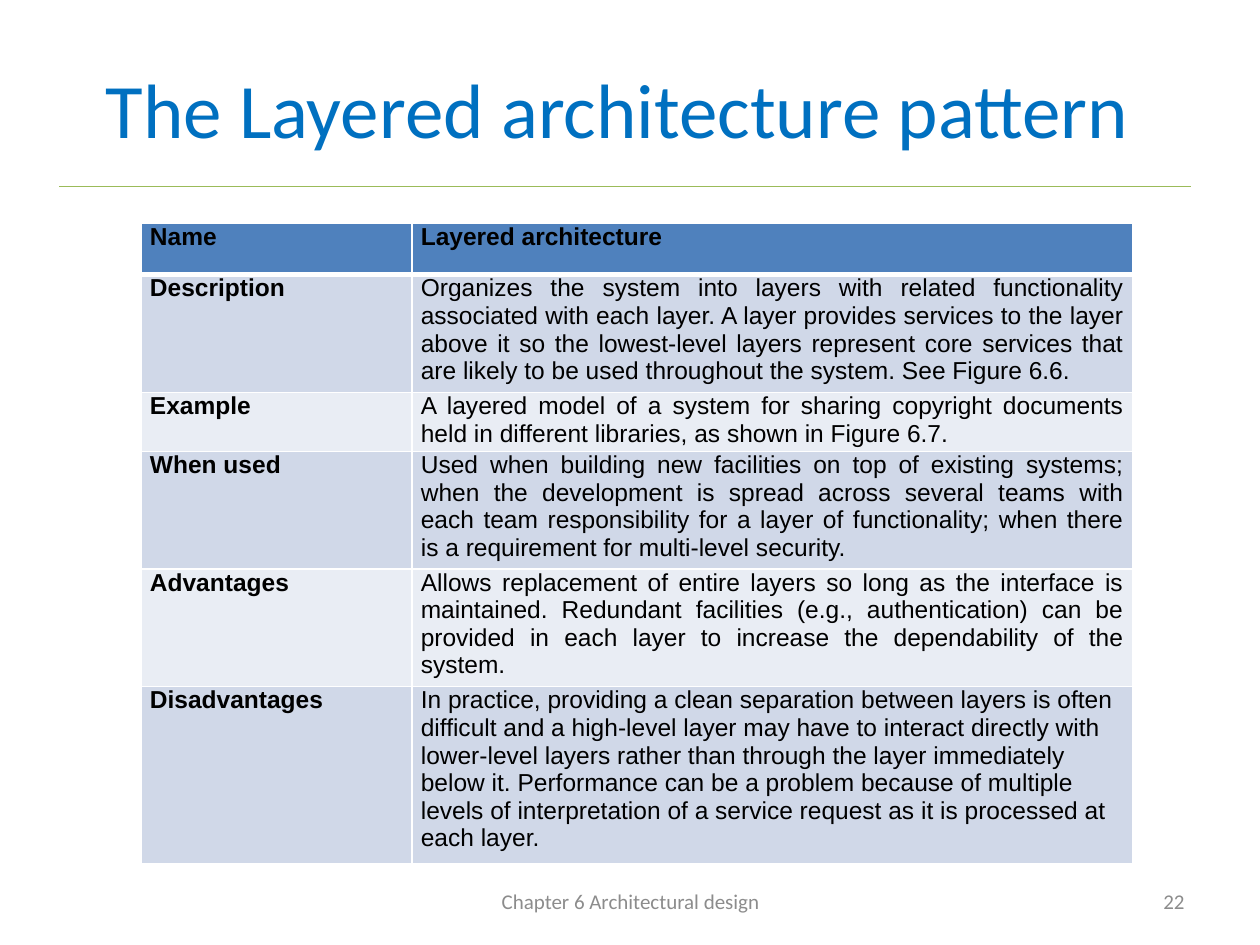
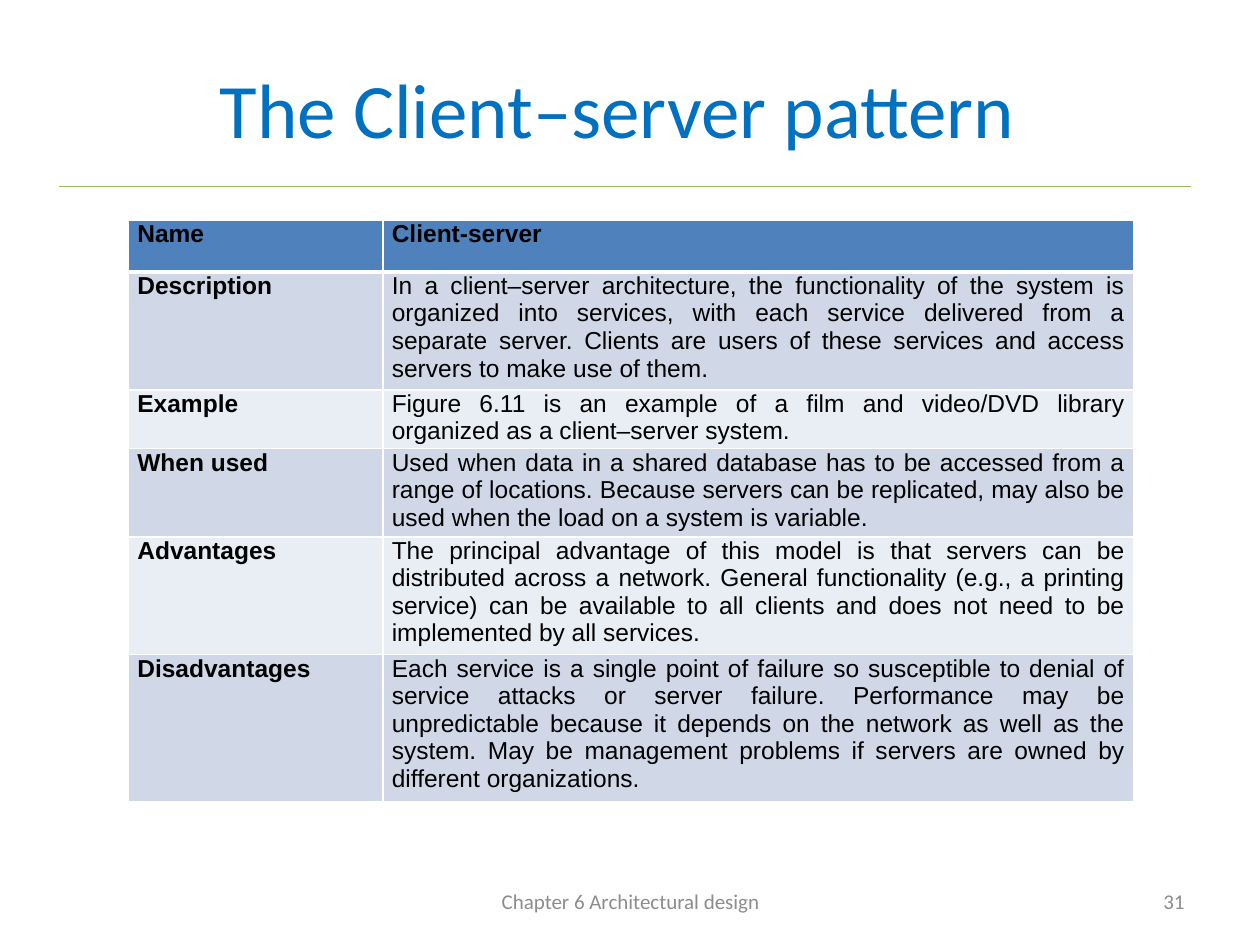
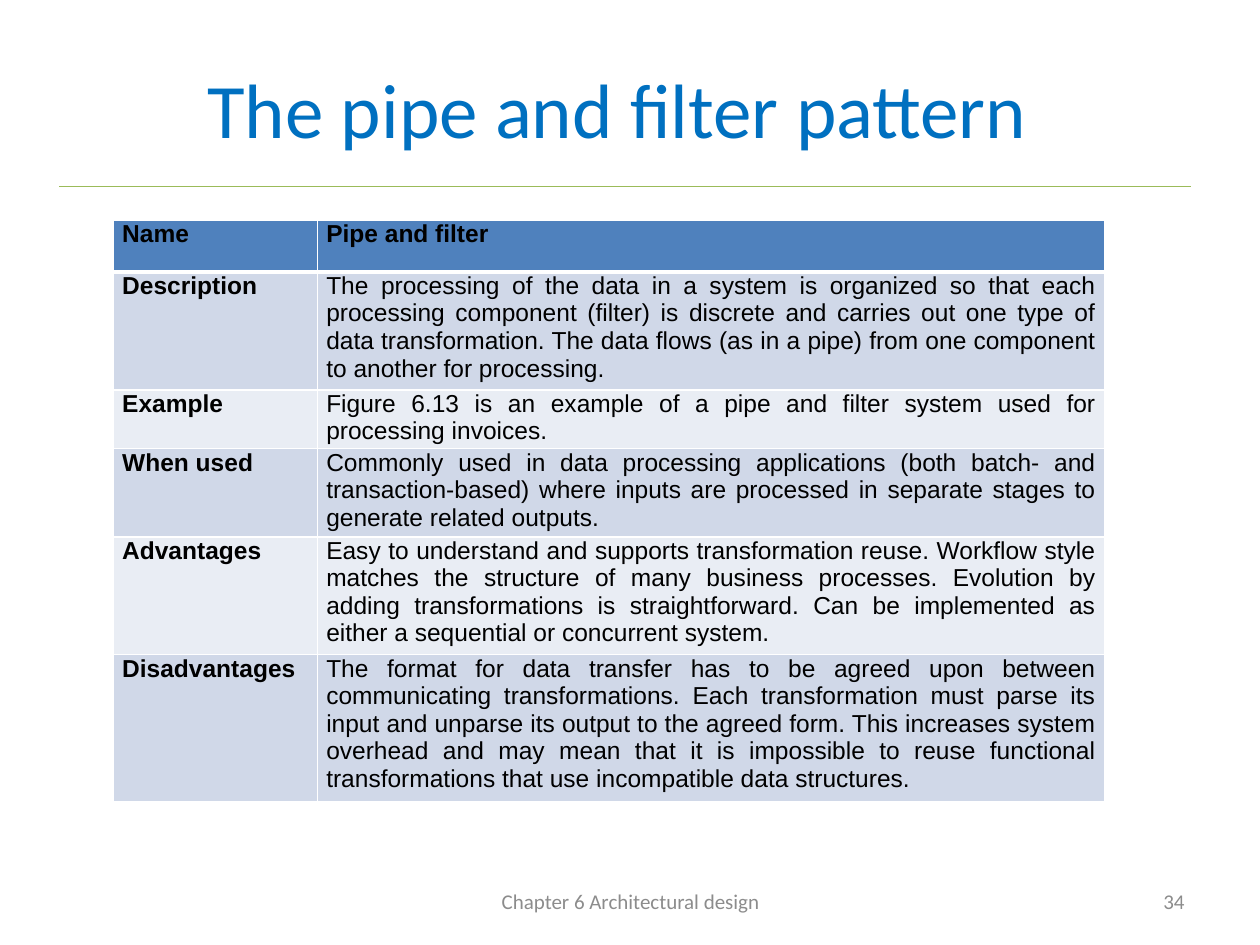
import pptx
import pptx.dml.color
import pptx.enum.shapes
import pptx.enum.text
import pptx.oxml
import pptx.oxml.ns
import pptx.util
import lxml.etree

Inches = pptx.util.Inches
Pt = pptx.util.Pt
ALIGN = pptx.enum.text.PP_ALIGN
MIDDLE = pptx.enum.text.MSO_ANCHOR.MIDDLE

TITLE_BLUE = "0070C0"
RULE_GREEN = "9BBB59"
FOOTER_GREY = "8C8C8C"
HEADER_FILL = "4F81BD"
BAND_FILLS = ("E9EDF4", "D0D8E8")
WHITE = "FFFFFF"
BLACK = "000000"

FOOTER = "Chapter 6 Architectural design"
LABELS = ("Name", "Description", "Example", "When used", "Advantages", "Disadvantages")
ROW_HEIGHT = 0.41
LAST_ROW = len(LABELS) - 1

PATTERNS = [
    {
        "title": "The Layered architecture pattern ",
        "number": "22",
        "position": (1.12, 1.77),
        "columns": (2.15, 5.72),
        "last_alignment": ALIGN.LEFT,
        "texts": (
            "Layered architecture",
            "Organizes the system into layers with related functionality associated with each layer. "
            "A layer provides services to the layer above it so the lowest-level layers represent core "
            "services that are likely to be used throughout the system. See Figure 6.6.",
            "A layered model of a system for sharing copyright documents held in different libraries, "
            "as shown in Figure 6.7.",
            "Used when building new facilities on top of existing systems; when the development is "
            "spread across several teams with each team responsibility for a layer of functionality; "
            "when there is a requirement for multi-level security.",
            "Allows replacement of entire layers so long as the interface is maintained. Redundant "
            "facilities (e.g., authentication) can be provided in each layer to increase the "
            "dependability of the system.",
            "In practice, providing a clean separation between layers is often difficult and a "
            "high-level layer may have to interact directly with lower-level layers rather than "
            "through the layer immediately below it. Performance can be a problem because of multiple "
            "levels of interpretation of a service request as it is processed at each layer.",
        ),
    },
    {
        "title": "The Client–server pattern ",
        "number": "31",
        "position": (1.02, 1.75),
        "columns": (2.02, 5.96),
        "last_alignment": ALIGN.JUSTIFY,
        "texts": (
            "Client-server",
            "In a client–server architecture, the functionality of the system is organized into "
            "services, with each service delivered from a separate server. Clients are users of these "
            "services and access servers to make use of them.",
            "Figure 6.11 is an example of a film and video/DVD library organized as a client–server "
            "system.",
            "Used when data in a shared database has to be accessed from a range of locations. Because "
            "servers can be replicated, may also be used when the load on a system is variable.",
            "The principal advantage of this model is that servers can be distributed across a network. "
            "General functionality (e.g., a printing service) can be available to all clients and does "
            "not need to be implemented by all services. ",
            "Each service is a single point of failure so susceptible to denial of service attacks or "
            "server failure. Performance may be unpredictable because it depends on the network as well "
            "as the system. May be management problems if servers are owned by different organizations.",
        ),
    },
    {
        "title": "The pipe and filter pattern ",
        "number": "34",
        "position": (0.9, 1.75),
        "columns": (1.62, 6.25),
        "last_alignment": ALIGN.JUSTIFY,
        "texts": (
            "Pipe and filter",
            "The processing of the data in a system is organized so that each processing component "
            "(filter) is discrete and carries out one type of data transformation. The data flows (as "
            "in a pipe) from one component to another for processing. ",
            "Figure 6.13 is an example of a pipe and filter system used for processing invoices.",
            "Commonly used in data processing applications (both batch- and transaction-based) where "
            "inputs are processed in separate stages to generate related outputs.",
            "Easy to understand and supports transformation reuse. Workflow style matches the structure "
            "of many business processes. Evolution by adding transformations is straightforward. Can be "
            "implemented as either a sequential or concurrent system.",
            "The format for data transfer has to be agreed upon between communicating transformations. "
            "Each transformation must parse its input and unparse its output to the agreed form. This "
            "increases system overhead and may mean that it is impossible to reuse functional "
            "transformations that use incompatible data structures.",
        ),
    },
]


def color(hex_string):
    return pptx.dml.color.RGBColor.from_string(hex_string)


def write(text_frame, text, size, font, hex_string, alignment, bold=False):
    paragraph = text_frame.paragraphs[0]
    paragraph.alignment = alignment
    run = paragraph.add_run()
    run.text = text
    run.font.size = Pt(size)
    run.font.name = font
    run.font.bold = bold
    run.font.color.rgb = color(hex_string)


def add_text(slide, box, text, size, hex_string, alignment):
    shape = slide.shapes.add_textbox(*map(Inches, box))
    shape.text_frame.word_wrap = True
    shape.text_frame.vertical_anchor = MIDDLE
    write(shape.text_frame, text, size, "Calibri", hex_string, alignment)


def add_title_rule(slide):
    rule = slide.shapes.add_connector(
        pptx.enum.shapes.MSO_CONNECTOR.STRAIGHT,
        Inches(0.47), Inches(1.48), Inches(9.45), Inches(1.48))
    rule.line.color.rgb = color(RULE_GREEN)
    rule.line.width = Pt(0.75)
    lxml.etree.SubElement(rule._element.spPr, pptx.oxml.ns.qn("a:effectLst"))


def set_borders(cell, widths):
    properties = cell._tc.get_or_add_tcPr()
    for index, (side, width) in enumerate(widths.items()):
        border = pptx.oxml.parse_xml(
            f'<a:ln{side} {pptx.oxml.ns.nsdecls("a")} w="{Pt(width)}">'
            f'<a:solidFill><a:srgbClr val="{WHITE}"/></a:solidFill></a:ln{side}>')
        properties.insert(index, border)


def fill_cell(cell, text, row, bold, alignment):
    cell.margin_left = cell.margin_right = Inches(0.07)
    cell.margin_top = cell.margin_bottom = 0
    cell.fill.solid()
    cell.fill.fore_color.rgb = color(BAND_FILLS[row % 2] if row else HEADER_FILL)
    set_borders(cell, {"L": 1, "R": 1, "T": 3 if row == 1 else 1, "B": 1 if row else 3})
    write(cell.text_frame, text, 14, "Arial", BLACK, alignment, bold)


def add_pattern_table(slide, pattern):
    left, top = pattern["position"]
    columns = pattern["columns"]
    table = slide.shapes.add_table(
        len(LABELS), len(columns), Inches(left), Inches(top),
        Inches(sum(columns)), Inches(ROW_HEIGHT * len(LABELS))).table
    for column, width in zip(table.columns, columns):
        column.width = Inches(width)
    for row, (label, text) in enumerate(zip(LABELS, pattern["texts"])):
        alignment = pattern["last_alignment"] if row == LAST_ROW else ALIGN.JUSTIFY
        fill_cell(table.cell(row, 0), label, row, True, ALIGN.JUSTIFY)
        fill_cell(table.cell(row, 1), text, row, row == 0, alignment)


def add_pattern_slide(presentation, pattern):
    slide = presentation.slides.add_slide(presentation.slide_layouts[6])
    add_title_rule(slide)
    add_text(slide, (0.47, 0.23, 9, 1.25), pattern["title"], 44, TITLE_BLUE, ALIGN.CENTER)
    add_pattern_table(slide, pattern)
    add_text(slide, (3.42, 6.95, 3.17, 0.4), FOOTER, 12, FOOTER_GREY, ALIGN.CENTER)
    add_text(slide, (7.17, 6.95, 2.33, 0.4), pattern["number"], 12, FOOTER_GREY, ALIGN.RIGHT)


def main():
    presentation = pptx.Presentation()
    presentation.slide_width = Inches(10)
    presentation.slide_height = Inches(7.5)
    for pattern in PATTERNS:
        add_pattern_slide(presentation, pattern)
    presentation.save("out.pptx")


if __name__ == "__main__":
    main()
